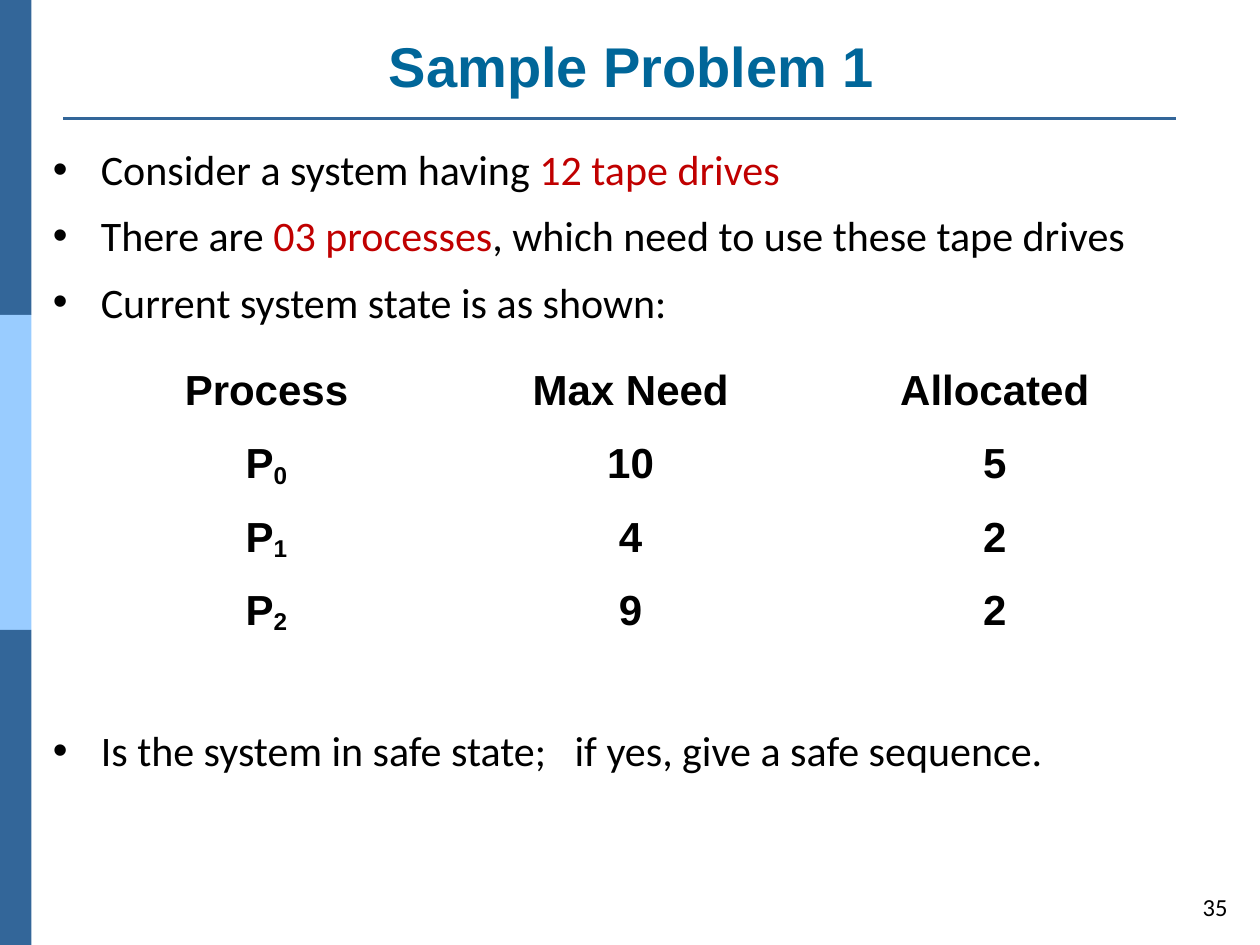
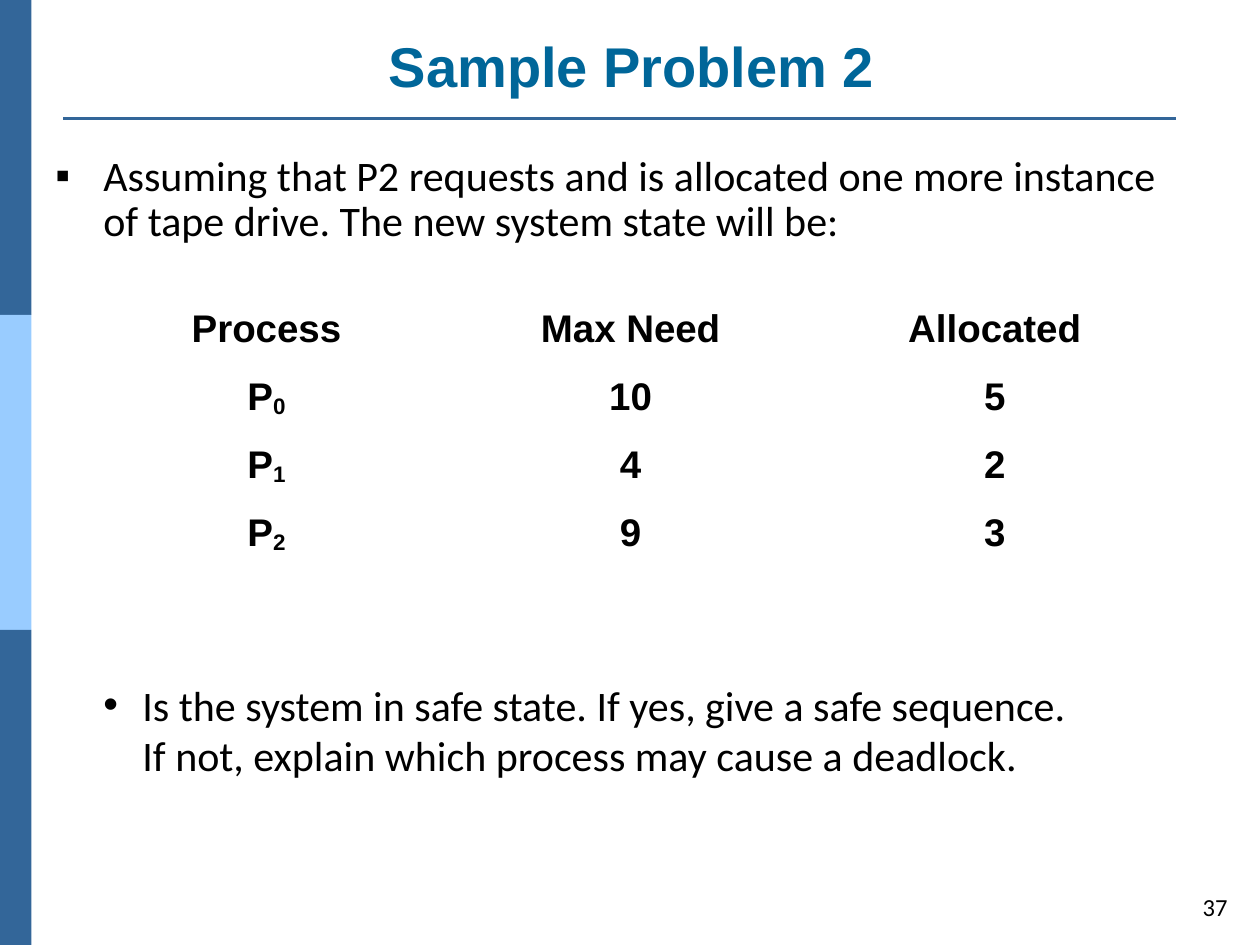
import dataclasses

import pptx
import pptx.dml.color
import pptx.enum.shapes
import pptx.enum.text
import pptx.util
from lxml import etree

Inches, Pt = pptx.util.Inches, pptx.util.Pt
PP_ALIGN, ANCHOR = pptx.enum.text.PP_ALIGN, pptx.enum.text.MSO_ANCHOR
SHAPE, LINE = pptx.enum.shapes.MSO_SHAPE, pptx.enum.shapes.MSO_CONNECTOR
NS = "http://schemas.openxmlformats.org/drawingml/2006/main"


@dataclasses.dataclass(frozen=True)
class Theme:
    band: str = "336699"
    band_light: str = "99CCFF"
    title: str = "006699"
    text: str = "000000"
    accent: str = "C00000"
    head_font: str = "Arial"
    body_font: str = "Calibri"
    title_size: int = 32
    body_size: int = 24
    number_size: int = 14


T = Theme()


def rgb(value):
    return pptx.dml.color.RGBColor.from_string(value)


def add_xml(parent, tag, **attrs):
    return etree.SubElement(parent, f"{{{NS}}}{tag}", attrs)


def style(font, color=T.text, **values):
    for name, value in values.items():
        setattr(font, name, value)
    font.color.rgb = rgb(color)


def place(sp, box):
    for name, value in zip(("left", "top", "width", "height"), box):
        setattr(sp, name, Inches(value))


def decorate_layout(s, layout):
    """Draw the side bands and title rule, then move them to the layout."""
    parts = []
    for i, color in enumerate((T.band, T.band_light, T.band)):
        sp = s.shapes.add_shape(SHAPE.RECTANGLE, 0, Inches(2.5 * i), Inches(0.25), Inches(2.5))
        sp.shadow.inherit = False
        sp.fill.solid()
        sp.fill.fore_color.rgb = rgb(color)
        sp.line.fill.background()
        parts.append(sp)
    rule = s.shapes.add_connector(LINE.STRAIGHT, Inches(0.5), Inches(0.94), Inches(9.33), Inches(0.94))
    rule.line.color.rgb = rgb(T.band)
    rule.line.width = Pt(1.5)
    add_xml(rule.element.spPr, "effectLst")
    for sp in parts + [rule]:
        layout.shapes.element.append(sp.element)


def fill_title(sp, text, box=(1.25, 0.04, 7.53, 0.79)):
    place(sp, box)
    tf = sp.text_frame
    tf.auto_size = pptx.enum.text.MSO_AUTO_SIZE.NONE
    tf.vertical_anchor = ANCHOR.BOTTOM
    p = tf.paragraphs[0]
    p.alignment = PP_ALIGN.CENTER
    r = p.add_run()
    r.text = text
    style(r.font, T.title, name=T.head_font, size=Pt(T.title_size), bold=True)


def fill_list(sp, box, items, bullet="•", indent=0.38, hang=0.38, spacing=1.0, tab=None):
    """Items are lists of lines; a line is a list of (text, color) runs."""
    place(sp, box)
    tf = sp.text_frame
    tf.word_wrap = True
    tf.auto_size = pptx.enum.text.MSO_AUTO_SIZE.NONE
    for i, lines in enumerate(items):
        p = tf.add_paragraph() if i else tf.paragraphs[0]
        pPr = p._p.get_or_add_pPr()
        pPr.set("marL", str(Inches(indent)))
        pPr.set("indent", str(-Inches(hang)))
        add_xml(pPr, "buFont", typeface=T.head_font)
        add_xml(pPr, "buChar", char=bullet)
        if tab:
            add_xml(add_xml(pPr, "tabLst"), "tab", pos=str(Inches(tab)), algn="l")
        p.line_spacing = spacing
        p.space_before = Pt(9 if i else 0)
        style(p.font, name=T.body_font, size=Pt(T.body_size))
        for j, runs in enumerate(lines):
            if j:
                p.add_line_break()
            for text, color in runs:
                r = p.add_run()
                r.text = text
                style(r.font, color, name=T.body_font, size=Pt(T.body_size))


def add_state_table(s, left, top, row_heights, size, state):
    """Show (max need, allocated) for each numbered process."""
    rows = [[("Process", ""), ("Max Need", ""), ("Allocated", "")]]
    rows += [[("P", str(i)), (str(need), ""), (str(held), "")]
             for i, (need, held) in enumerate(state)]
    frame = s.shapes.add_table(len(rows), 3, Inches(left), Inches(top),
                               Inches(8.67), Inches(sum(row_heights)))
    table = frame.table
    table.first_row = table.horz_banding = False
    for row, height in zip(table.rows, row_heights):
        row.height = Inches(height)
    for y, row in enumerate(rows):
        for x, (text, subscript) in enumerate(row):
            cell = table.cell(y, x)
            cell.fill.background()
            p = cell.text_frame.paragraphs[0]
            p.alignment = PP_ALIGN.CENTER
            for part in filter(None, (text, subscript)):
                r = p.add_run()
                r.text = part
                style(r.font, name=T.head_font, size=Pt(size), bold=True)
            if subscript:
                r._r.get_or_add_rPr().set("baseline", "-12000")


def add_page_number(s, number, box=(9.39, 6.99, 0.45, 0.41)):
    tf = s.shapes.add_textbox(*map(Inches, box)).text_frame
    tf.word_wrap = True
    tf.vertical_anchor = ANCHOR.MIDDLE
    p = tf.paragraphs[0]
    p.alignment = PP_ALIGN.RIGHT
    r = p.add_run()
    r.text = str(number)
    style(r.font, name=T.body_font, size=Pt(T.number_size))


def add_problem(prs, layout, title, number, intro, table, question):
    s = prs.slides.add_slide(layout)
    heading, first, second = s.placeholders
    fill_title(heading, title)
    fill_list(first, **intro)
    add_state_table(s, 0.67, **table)
    fill_list(second, **question)
    add_page_number(s, number)
    return s


def main():
    prs = pptx.Presentation()
    prs.slide_width, prs.slide_height = Inches(10), Inches(7.5)
    layout = prs.slide_layouts.get_by_name("Two Content")
    s = add_problem(
        prs, layout, "Sample Problem 1", 35,
        intro=dict(box=(0.32, 1.09, 9.51, 1.68), items=[
            [[("Consider a system having ", T.text), ("12 tape drives", T.accent)]],
            [[("There are ", T.text), ("03 processes", T.accent),
              (", which need to use these tape drives", T.text)]],
            [[("Current system state is as shown:", T.text)]]]),
        table=dict(top=2.87, row_heights=[0.58] * 4, size=24,
                   state=[(10, 5), (4, 2), (9, 2)]),
        question=dict(box=(0.32, 5.7, 9.3, 0.83), tab=4.14, items=[
            [[("Is the system in safe state;\tif yes, give a safe sequence.", T.text)]]]))
    decorate_layout(s, layout)
    add_problem(
        prs, layout, "Sample Problem 2", 37,
        intro=dict(box=(0.34, 1.18, 9.5, 0.87), bullet="▪", spacing=0.9, items=[
            [[("Assuming that P2 requests and is allocated one more instance", T.text)],
             [("of tape drive. The new system state will be:", T.text)]]]),
        table=dict(top=2.39, row_heights=[0.54] * 3 + [0.45], size=22,
                   state=[(10, 5), (4, 2), (9, 3)]),
        question=dict(box=(0.34, 5.34, 9.32, 1.37), indent=0.69, hang=0.31, items=[
            [[("Is the system in safe state. If yes, give a safe sequence.", T.text)],
             [("If not, explain which process may cause a deadlock.", T.text)]]]))
    prs.save("out.pptx")


if __name__ == "__main__":
    main()
